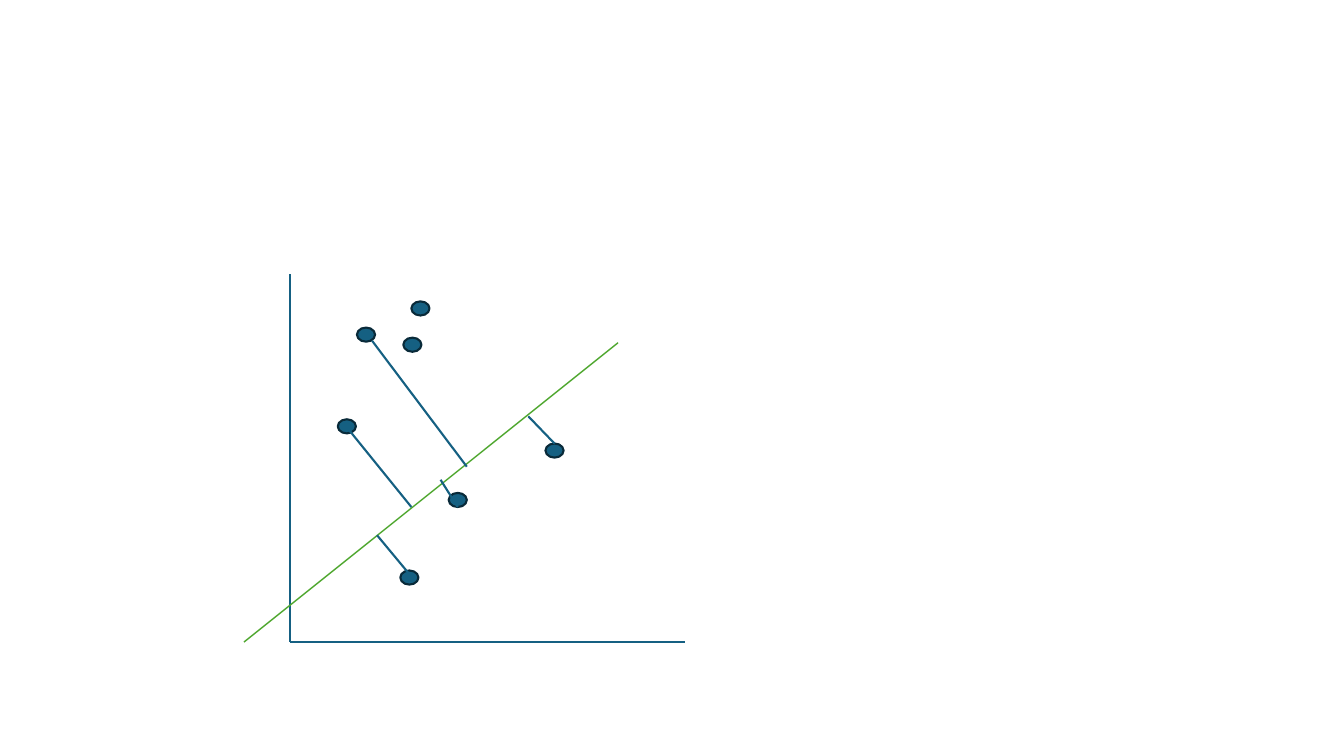
from dataclasses import dataclass

from lxml import etree
from pptx import Presentation
from pptx.dml.color import RGBColor
from pptx.enum import shapes
from pptx.oxml.ns import qn
from pptx.util import Inches, Pt


@dataclass(frozen=True)
class Theme:
    blue: str = "156082"
    navy: str = "092A39"
    green: str = "4EA72E"
    thin: float = 1
    thick: float = 1.5
    dot_w: float = 0.18
    dot_h: float = 0.14


@dataclass(frozen=True)
class Dot:
    left: float
    top: float


@dataclass(frozen=True)
class Line:
    x1: float
    y1: float
    x2: float
    y2: float
    color: str
    width: float


THEME = Theme()


def stroke(x1: float, y1: float, x2: float, y2: float) -> Line:
    """Return a thick blue line, as used for axes and distances."""
    return Line(x1, y1, x2, y2, THEME.blue, THEME.thick)


AXES = [stroke(2.88, 2.72, 2.88, 6.37), stroke(2.88, 6.37, 6.79, 6.37)]
DOTS = [
    Dot(3.54, 3.25),
    Dot(4, 3.35),
    Dot(3.35, 4.16),
    Dot(4.45, 4.89),
    Dot(5.41, 4.4),
    Dot(3.97, 5.66),
    Dot(4.08, 2.99),
]
FIT = Line(2.42, 6.37, 6.13, 3.4, THEME.green, THEME.thin)
GAPS = [
    stroke(4.08, 5.72, 3.74, 5.31),
    stroke(4.54, 5.03, 4.37, 4.76),
    stroke(5.5, 4.4, 5.24, 4.13),
    stroke(3.69, 3.38, 4.63, 4.63),
    stroke(3.4, 4.19, 4.08, 5.03),
]


def draw_line(slide, line: Line) -> None:
    ends = [Inches(v) for v in (line.x1, line.y1, line.x2, line.y2)]
    link = slide.shapes.add_connector(shapes.MSO_CONNECTOR.STRAIGHT, *ends)
    link.line.color.rgb = RGBColor.from_string(line.color)
    link.line.width = Pt(line.width)
    etree.SubElement(link._element.spPr, qn("a:effectLst"))


def draw_dot(slide, dot: Dot) -> None:
    box = [Inches(v) for v in (dot.left, dot.top, THEME.dot_w, THEME.dot_h)]
    mark = slide.shapes.add_shape(shapes.MSO_SHAPE.OVAL, *box)
    mark.shadow.inherit = False
    mark.fill.solid()
    mark.fill.fore_color.rgb = RGBColor.from_string(THEME.blue)
    mark.line.color.rgb = RGBColor.from_string(THEME.navy)
    mark.line.width = Pt(THEME.thick)


def main() -> None:
    deck = Presentation()
    deck.slide_width = Inches(13.33)
    deck.slide_height = Inches(7.5)
    slide = deck.slides.add_slide(deck.slide_layouts.get_by_name("Blank"))
    for axis in AXES:
        draw_line(slide, axis)
    for dot in DOTS:
        draw_dot(slide, dot)
    for line in [FIT, *GAPS]:
        draw_line(slide, line)
    deck.save("out.pptx")


if __name__ == "__main__":
    main()
